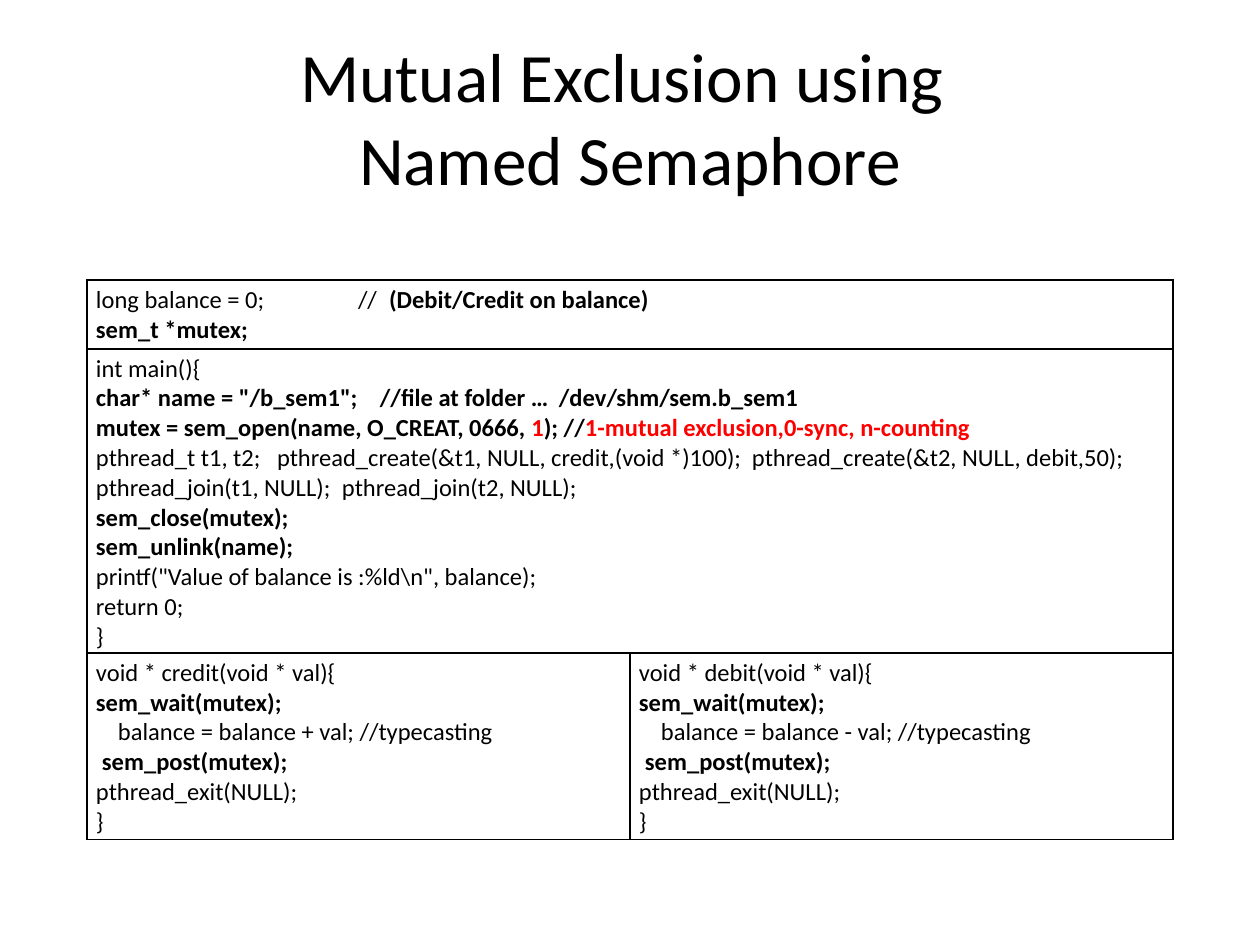
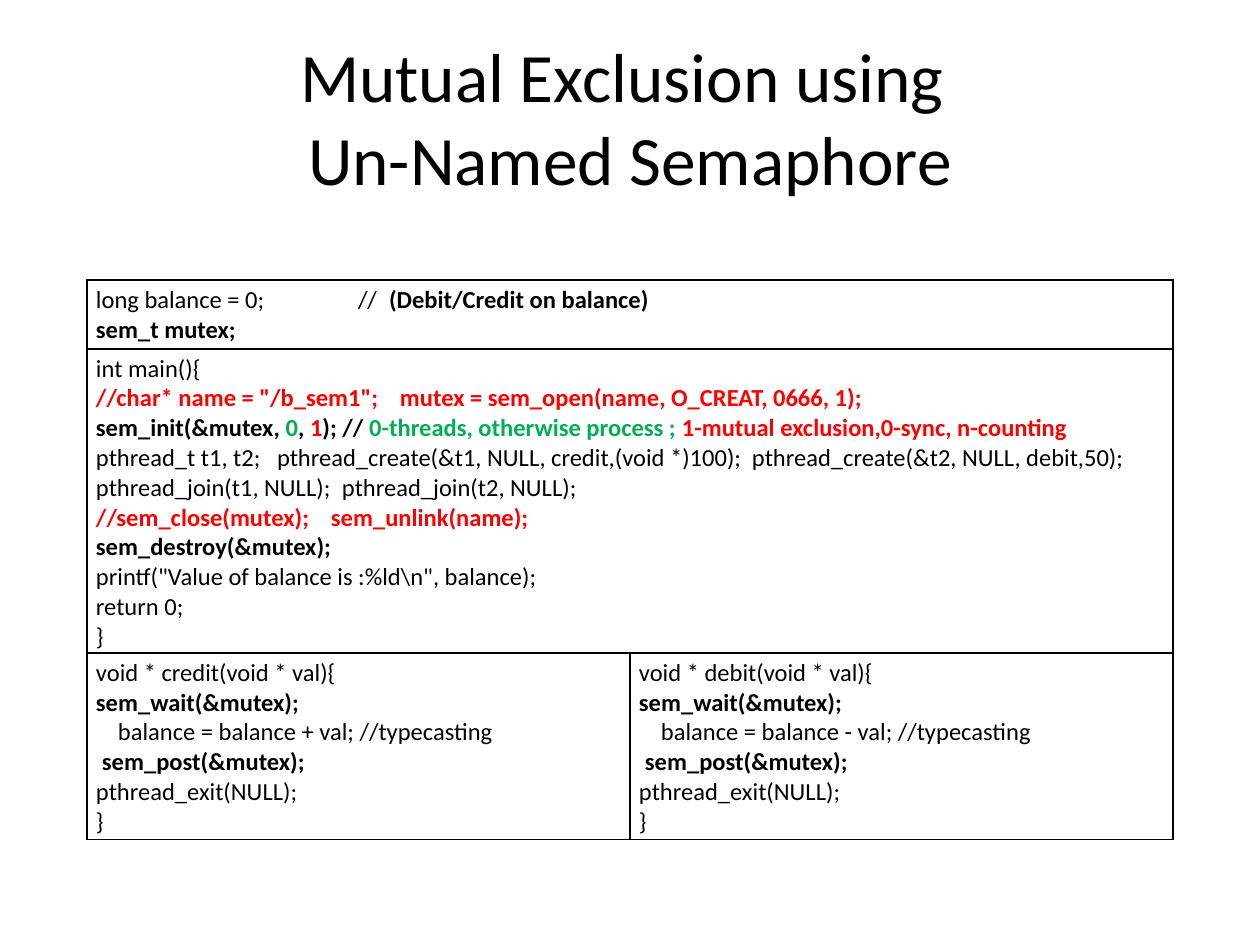
from pptx import Presentation
from pptx.dml.color import RGBColor
from pptx.enum.text import MSO_ANCHOR as Anchor, PP_ALIGN as Align
from pptx.oxml import parse_xml
from pptx.oxml.ns import nsdecls
from pptx.util import Pt

PX = 914400 / 126
BLACK = RGBColor(0x00, 0x00, 0x00)
RED = RGBColor(0xFF, 0x00, 0x00)
GREEN = RGBColor(0x00, 0xB0, 0x50)
FONT = "Calibri"
TITLE_SIZE, CODE_SIZE = 39.6, 14
COLUMNS = [543, 543]
ROWS = [67, 294, 180]


def write(para, text, *, size=CODE_SIZE, bold=False, color=BLACK):
    span = para.add_run()
    span.text = text
    span.font.name = FONT
    span.font.size = Pt(size)
    span.font.bold = bold
    span.font.color.rgb = color


def line(*spans, tabs=(), indent=0):
    """A code line: plain spans are strings, bold ones are (text, color)."""
    return spans, tabs, indent


# What differs between the two slides
slides = [
    {
        "kind": "Named Semaphore",
        "declaration": "sem_t *mutex;",
        "mutex": "mutex",
        "setup": [
            line(('char* name = "/b_sem1";\t//file at folder …\t/dev/shm/sem.b_sem1', BLACK),
                 tabs=[284, 463]),
            line(("mutex = sem_open(name, O_CREAT, 0666, ", BLACK), ("1", RED),
                 ("); //", BLACK), ("1-mutual exclusion,0-sync, n-counting", RED)),
        ],
        "cleanup": [
            line(("sem_close(mutex);", BLACK)),
            line(("sem_unlink(name);", BLACK)),
        ],
    },
    {
        "kind": "Un-Named Semaphore",
        "declaration": "sem_t mutex;",
        "mutex": "&mutex",
        "setup": [
            line(('//char* name = "/b_sem1";\tmutex = sem_open(name, O_CREAT, 0666, 1);', RED),
                 tabs=[304]),
            line(("sem_init(&mutex, ", BLACK), ("0", GREEN), (", ", BLACK), ("1", RED),
                 ("); // ", BLACK), ("0-threads, otherwise process ; ", GREEN),
                 ("1-mutual exclusion,0-sync, n-counting", RED)),
        ],
        "cleanup": [
            line(("//sem_close(mutex);\tsem_unlink(name);", RED), tabs=[235]),
            line(("sem_destroy(&mutex);", BLACK)),
        ],
    },
]

deck = Presentation()
deck.slide_width, deck.slide_height = round(1260 * PX), round(945 * PX)

for content in slides:
    page = deck.slides.add_slide(deck.slide_layouts[6])

    # Title
    box = page.shapes.add_textbox(*[round(n * PX) for n in (63, 38, 1134, 157)])
    frame = box.text_frame
    frame.word_wrap = True
    frame.vertical_anchor = Anchor.MIDDLE
    para = frame.paragraphs[0]
    para.alignment = Align.CENTER
    write(para, "Mutual Exclusion using ", size=TITLE_SIZE)
    para.add_line_break()
    write(para, content["kind"], size=TITLE_SIZE)

    # Code for each table cell
    code = {
        (0, 0): [
            line("long balance = 0;\t//\t", ("(Debit/Credit on balance)", BLACK),
                 tabs=[262, 293]),
            line((content["declaration"], BLACK)),
        ],
        (1, 0): [
            line("int main(){"),
            *content["setup"],
            line("pthread_t t1, t2;\tpthread_create(&t1, NULL, credit,(void *)100);"
                 "\tpthread_create(&t2, NULL, debit,50);", tabs=[181, 656]),
            line("pthread_join(t1, NULL);\tpthread_join(t2, NULL);", tabs=[246]),
            *content["cleanup"],
            line(r'printf("Value of balance is :%ld\n", balance);'),
            line("return 0;"),
            line("}"),
        ],
    }
    for column, (name, sign) in enumerate([("credit", "+"), ("debit", "-")]):
        code[2, column] = [
            line(f"void * {name}(void * val){{"),
            line((f"sem_wait({content['mutex']});", BLACK)),
            line(f"balance = balance {sign} val; //typecasting", indent=22),
            line((f"sem_post({content['mutex']});", BLACK), indent=6),
            line("pthread_exit(NULL);"),
            line("}"),
        ]

    # Table grid
    area = [round(n * PX) for n in (87, 280, sum(COLUMNS), sum(ROWS))]
    table = page.shapes.add_table(len(ROWS), len(COLUMNS), *area).table
    table.first_row = table.horz_banding = False
    for column, width in zip(table.columns, COLUMNS):
        column.width = round(width * PX)
    for row, height in zip(table.rows, ROWS):
        row.height = round(height * PX)
    for row in (0, 1):
        table.cell(row, 0).merge(table.cell(row, 1))

    # Cell margins and borders
    for cell in table.iter_cells():
        cell.margin_left = cell.margin_right = round(9 * PX)
        cell.margin_top = cell.margin_bottom = round(5 * PX)
        cell.fill.background()
        properties = cell._tc.get_or_add_tcPr()
        for place, side in enumerate("LRTB"):
            properties.insert(place, parse_xml(
                f'<a:ln{side} {nsdecls("a")} w="{Pt(1)}"><a:solidFill>'
                f'<a:srgbClr val="{BLACK}"/></a:solidFill></a:ln{side}>'))

    # Code text
    for position, lines in code.items():
        frame = table.cell(*position).text_frame
        for number, (spans, tabs, indent) in enumerate(lines):
            para = frame.add_paragraph() if number else frame.paragraphs[0]
            properties = para._p.get_or_add_pPr()
            properties.set("marL", str(round(indent * PX)))
            if tabs:
                stops = "".join(f'<a:tab pos="{round(stop * PX)}" algn="l"/>' for stop in tabs)
                properties.append(parse_xml(f'<a:tabLst {nsdecls("a")}>{stops}</a:tabLst>'))
            for span in spans:
                if isinstance(span, str):
                    write(para, span)
                else:
                    text, color = span
                    write(para, text, bold=True, color=color)

deck.save("out.pptx")
